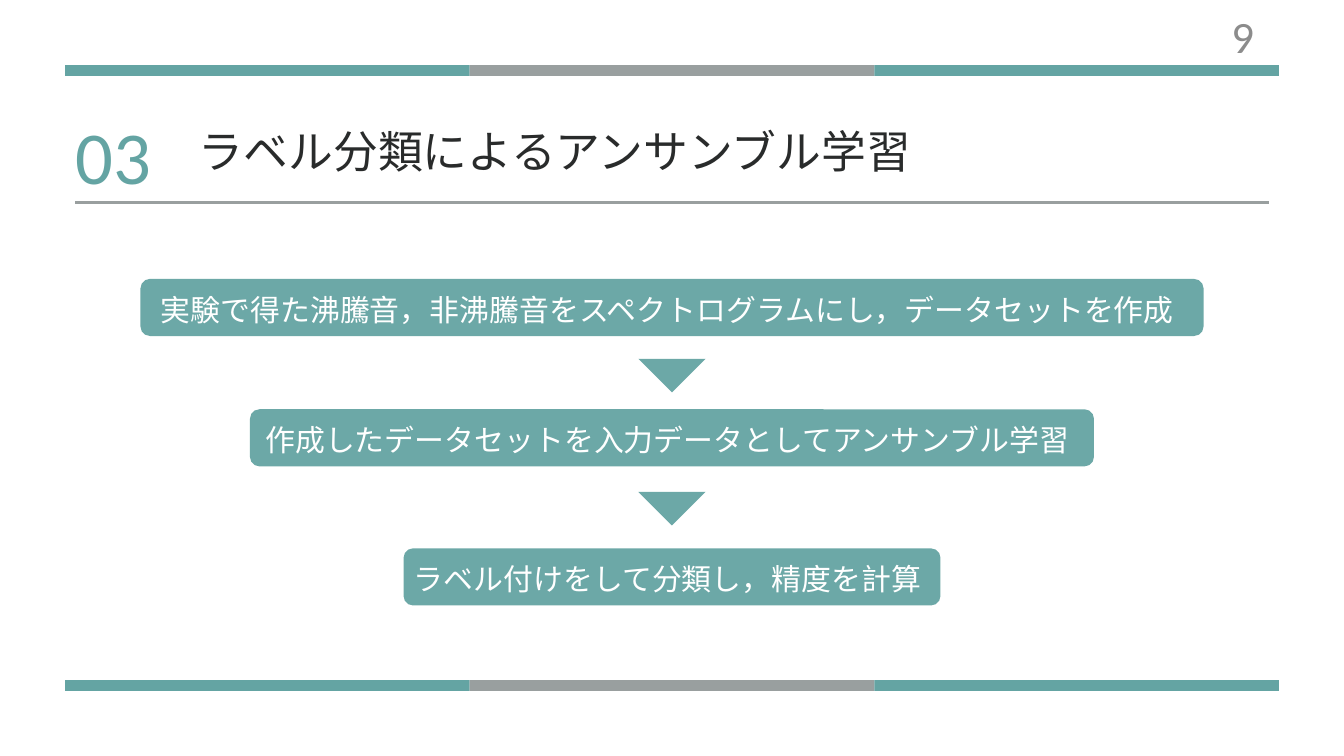
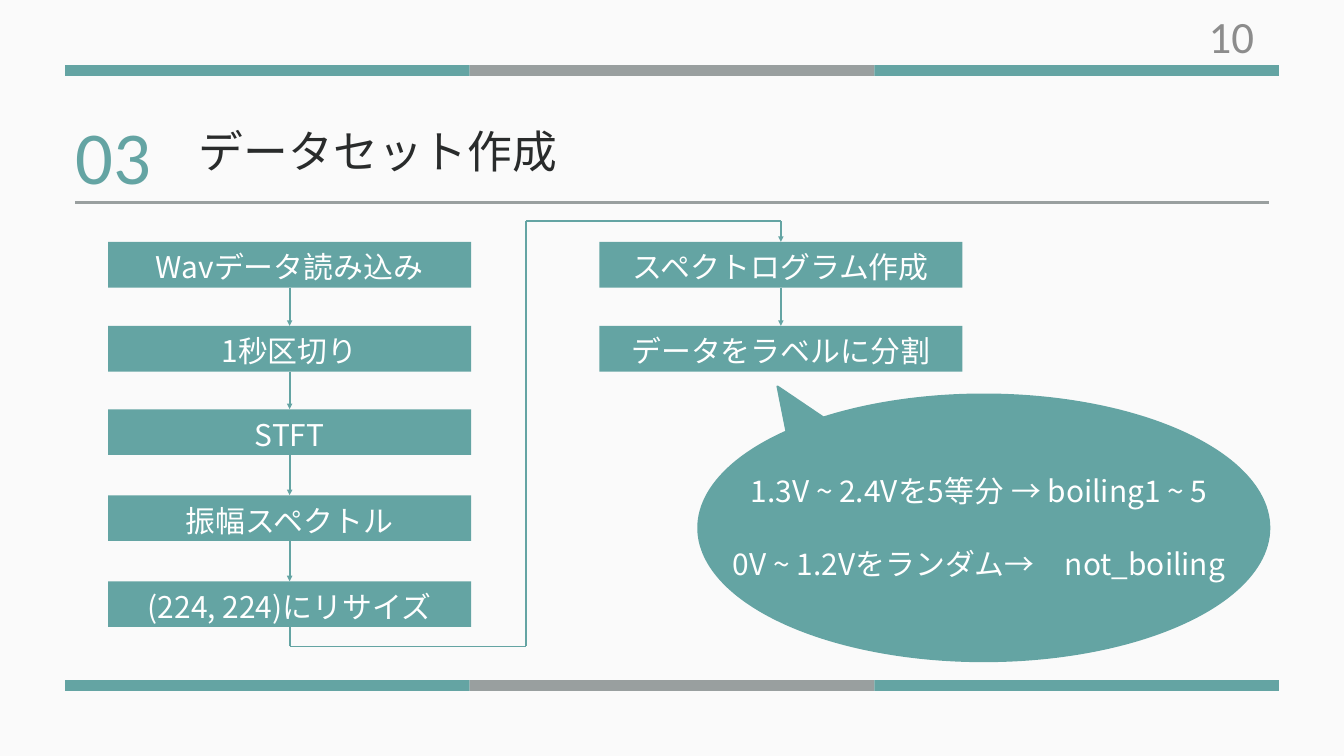
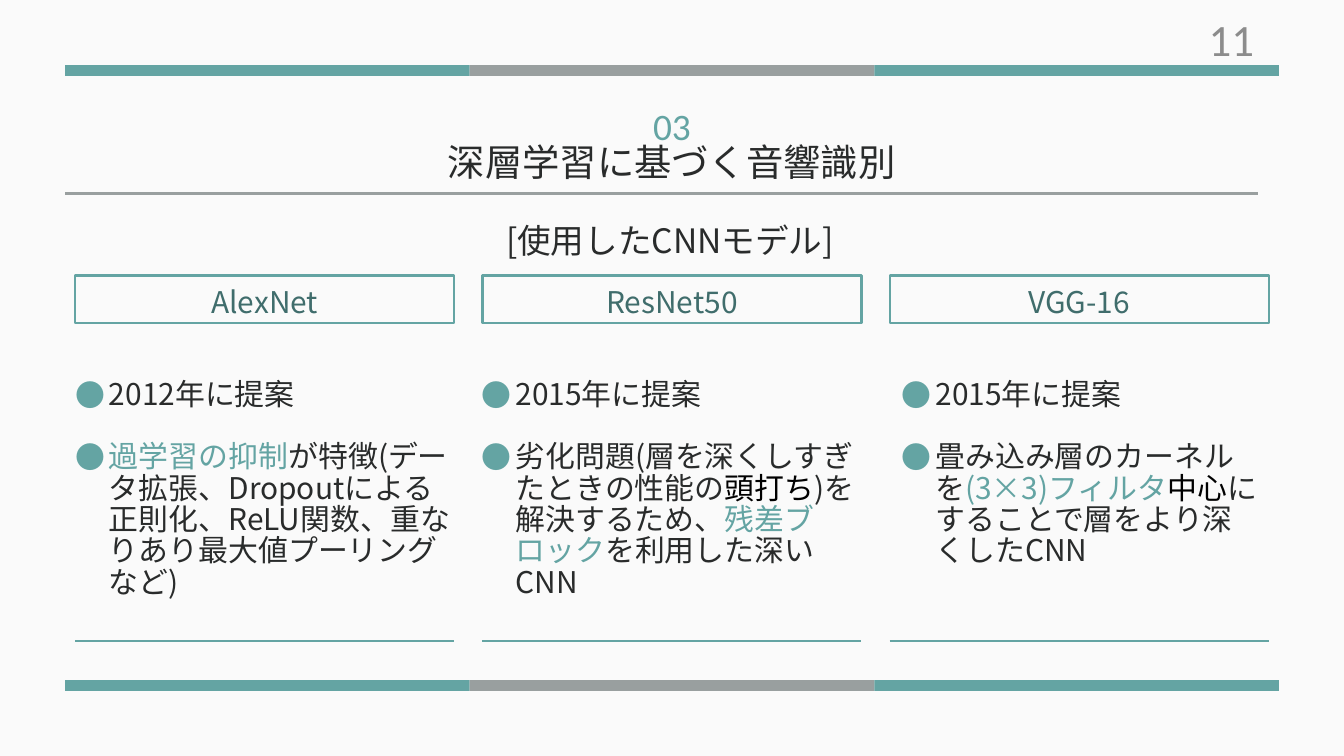
from itertools import pairwise

from lxml import etree
from pptx import Presentation
from pptx.dml.color import RGBColor
from pptx.enum.shapes import MSO_CONNECTOR, MSO_SHAPE
from pptx.enum.text import MSO_ANCHOR, MSO_AUTO_SIZE, PP_ALIGN
from pptx.oxml.ns import qn
from pptx.util import Inches, Pt

STRAIGHT = MSO_CONNECTOR.STRAIGHT
RECTANGLE = MSO_SHAPE.RECTANGLE
ELLIPSE = MSO_SHAPE.OVAL
TRIANGLE = MSO_SHAPE.ISOSCELES_TRIANGLE
STEP_BOX = MSO_SHAPE.FLOWCHART_ALTERNATE_PROCESS
DOWN_MARK = MSO_SHAPE.FLOWCHART_MERGE
TOP, MIDDLE = MSO_ANCHOR.TOP, MSO_ANCHOR.MIDDLE
LEFT, CENTER, RIGHT = PP_ALIGN.LEFT, PP_ALIGN.CENTER, PP_ALIGN.RIGHT
NO_AUTOFIT = MSO_AUTO_SIZE.NONE
TITLE_ONLY, COMPARISON = 5, 4
TOP_SIDE, BOTTOM_SIDE = 0, 2

COLORS = {
    "teal": "64A4A3",
    "soft teal": "6CA8A7",
    "dark teal": "406D6C",
    "gray": "999F9F",
    "number": "8C8C8C",
    "ink": "292B2B",
    "black": "000000",
    "white": "FFFFFF",
    "paper": "FAFAFA",
}
JAPANESE, LATIN = "Noto Sans CJK SC", "Calibri"

# Each text style: font, size, colour, alignment, line spacing in points
STYLES = {
    "title": (JAPANESE, 48, "ink", LEFT, 58.8),
    "centered title": (JAPANESE, 40, "ink", CENTER, 58.8),
    "section": (LATIN, 80, "teal", LEFT, 112),
    "small section": (LATIN, 40, "teal", CENTER, 112),
    "number": (LATIN, 48, "number", RIGHT, None),
    "subtitle": (JAPANESE, 36, "ink", CENTER, 44.8),
    "step": (JAPANESE, 32, "white", CENTER, 35.2),
    "box": (JAPANESE, 32, "white", CENTER, 39.2),
    "model": (JAPANESE, 32, "dark teal", CENTER, 39.2),
    "list": (JAPANESE, 32, "ink", LEFT, 33.6),
}


def color(name):
    return RGBColor.from_string(COLORS[name])


def inches(values):
    return [Inches(value) for value in values]


class Deck:
    """Holds the shared style and the slide being built."""

    def __init__(self):
        self.presentation = Presentation()
        self.presentation.slide_width = Inches(20)
        self.presentation.slide_height = Inches(11.25)
        self.slide = None

    def add_slide(self, layout, background, number, number_top=0.33):
        layouts = self.presentation.slide_layouts
        self.slide = self.presentation.slides.add_slide(layouts[layout])
        fill = self.slide.background.fill
        fill.solid()
        fill.fore_color.rgb = color(background)
        for top in (0.97, 10.12):
            for column, name in enumerate(("teal", "gray", "teal")):
                self.shape(RECTANGLE, (0.97 + 6.02 * column, top, 6.02, 0.16), name)
        self.text_box((16.43, number_top, 2.33, 0.4), [str(number)], "number",
                      (0.1, 0.05, 0.1, 0.05), MIDDLE)

    def heading(self, title, width):
        self.placeholder(0, (2.96, 1.83, width, 0.8), [title], "title")
        self.text_box((1.12, 1.41, 2.91, 1.53), ["03"], "section")
        self.line((1.12, 3.01), (18.88, 3.01), "gray", 3)

    def set_text(self, shape, paragraphs, style, insets=(0, 0, 0, 0), anchor=TOP,
                 gap=0, bullet=None):
        """A paragraph is a string or a list of (text, colour) runs."""
        frame = shape.text_frame
        left, top, right, bottom = inches(insets)
        frame_format = {
            "word_wrap": True, "auto_size": NO_AUTOFIT, "vertical_anchor": anchor,
            "margin_left": left, "margin_top": top,
            "margin_right": right, "margin_bottom": bottom,
        }
        for name, value in frame_format.items():
            setattr(frame, name, value)
        font_name, size, base_color, alignment, spacing = STYLES[style]
        for index, content in enumerate(paragraphs):
            paragraph = frame.add_paragraph() if index else frame.paragraphs[0]
            paragraph_format = {
                "alignment": alignment,
                "line_spacing": Pt(spacing) if spacing else None,
                "space_before": Pt(gap if index else 0),
            }
            for name, value in paragraph_format.items():
                setattr(paragraph, name, value)
            if bullet:
                self.bullet(paragraph, bullet)
            runs = [(content, base_color)] if isinstance(content, str) else content
            for text, run_color in runs:
                run = paragraph.add_run()
                run.text = text
                font_format = {"name": font_name, "size": Pt(size), "bold": False}
                for name, value in font_format.items():
                    setattr(run.font, name, value)
                run.font.color.rgb = color(run_color)
                properties = run._r.get_or_add_rPr()
                etree.SubElement(properties, qn("a:ea"), typeface=font_name)

    def bullet(self, paragraph, bullet_color):
        properties = paragraph._p.get_or_add_pPr()
        properties.set("marL", str(Inches(0.5)))
        properties.set("indent", str(Inches(-0.5)))
        fill = etree.SubElement(properties, qn("a:buClr"))
        etree.SubElement(fill, qn("a:srgbClr"), val=COLORS[bullet_color])
        etree.SubElement(properties, qn("a:buFont"), typeface=JAPANESE)
        etree.SubElement(properties, qn("a:buChar"), char="●")

    def placeholder(self, index, box, paragraphs, style, **options):
        shape = next(item for item in self.slide.placeholders
                     if item.placeholder_format.idx == index)
        shape.left, shape.top, shape.width, shape.height = inches(box)
        self.set_text(shape, paragraphs, style, **options)

    def text_box(self, box, paragraphs, style, insets=(0, 0, 0, 0), anchor=TOP, gap=0):
        shape = self.slide.shapes.add_textbox(*inches(box))
        self.set_text(shape, paragraphs, style, insets, anchor, gap)

    def shape(self, kind, box, fill=None, outline=None, width=2):
        shape = self.slide.shapes.add_shape(kind, *inches(box))
        shape.shadow.inherit = False
        if fill:
            shape.fill.solid()
            shape.fill.fore_color.rgb = color(fill)
        else:
            shape.fill.background()
        if outline:
            shape.line.color.rgb = color(outline)
            shape.line.width = Pt(width)
        else:
            shape.line.fill.background()
        return shape

    def label_box(self, box, text, style="box", fill="teal", outline=None):
        shape = self.shape(RECTANGLE, box, fill, outline, 2.25)
        self.set_text(shape, [text], style, (0, 0.05, 0, 0), MIDDLE)
        return shape

    def line(self, start, end, line_color="teal", width=2, arrow=False,
             source=None, target=None):
        connector = self.slide.shapes.add_connector(STRAIGHT, *inches(start + end))
        connector.line.color.rgb = color(line_color)
        connector.line.width = Pt(width)
        properties = connector.element.spPr
        if arrow:
            etree.SubElement(properties.find(qn("a:ln")), qn("a:tailEnd"), type="triangle")
        etree.SubElement(properties, qn("a:effectLst"))
        if source:
            connector.begin_connect(source, BOTTOM_SIDE)
        if target:
            connector.end_connect(target, TOP_SIDE)

    def flow_column(self, left, steps):
        """Stack boxes from (top, text) pairs and join them with arrows."""
        boxes = [self.label_box((left, top, 5.4, 0.68), text) for top, text in steps]
        middle = left + 2.7
        for (upper_top, _), (lower_top, _), (upper, lower) in zip(
                steps, steps[1:], pairwise(boxes)):
            self.line((middle, upper_top + 0.68), (middle, lower_top),
                      arrow=True, source=upper, target=lower)
        return boxes


def ensemble_slide(deck):
    deck.add_slide(TITLE_ONLY, "white", 9)
    deck.heading("ラベル分類によるアンサンブル学習", 11.45)
    # Centred steps
    for top, width, text in (
        (4.15, 15.82, "実験で得た沸騰音，非沸騰音をスペクトログラムにし，データセットを作成"),
        (6.09, 12.56, "作成したデータセットを入力データとしてアンサンブル学習"),
        (8.16, 7.99, "ラベル付けをして分類し，精度を計算"),
    ):
        step = deck.shape(STEP_BOX, (10 - width / 2, top, width, 0.85), "soft teal")
        deck.set_text(step, [text], "step", (0, 0.1, 0.13, 0), MIDDLE)
    for top in (5.34, 7.32):
        deck.shape(DOWN_MARK, (9.5, top, 1, 0.5), "soft teal")


def dataset_slide(deck):
    deck.add_slide(TITLE_ONLY, "paper", 10)
    deck.heading("データセット作成", 8.54)
    # Two columns of processing steps
    first = deck.flow_column(1.61, [
        (3.6, "Wavデータ読み込み"), (4.85, "1秒区切り"), (6.09, "STFT"),
        (7.37, "振幅スペクトル"), (8.65, "(224, 224)にリサイズ"),
    ])
    second = deck.flow_column(8.92, [
        (3.6, "スペクトログラム作成"), (4.85, "データをラベルに分割"),
    ])
    # Route from the first column to the second
    route = [(4.31, 9.33), (4.31, 9.62), (7.83, 9.62), (7.83, 3.29),
             (11.62, 3.29), (11.62, 3.6)]
    for start, end in pairwise(route):
        is_last = end == route[-1]
        deck.line(start, end, arrow=is_last,
                  source=first[-1] if start == route[0] else None,
                  target=second[0] if is_last else None)
    # Speech bubble
    deck.shape(ELLIPSE, (10.39, 5.87, 8.5, 3.97), "teal", "teal")
    pointer = deck.shape(TRIANGLE, (11.41, 5.65, 0.97, 1.18), "teal", "teal")
    pointer.rotation = 326.4
    deck.text_box((10.63, 6.97, 7.88, 1.72),
                  ["1.3V ~ 2.4Vを5等分 → boiling1 ~ 5", "0V ~ 1.2Vをランダム→　not_boiling"],
                  "box", (0.1, 0.05, 0.1, 0.05), gap=39.2)


def models_slide(deck):
    deck.add_slide(COMPARISON, "paper", 11, 0.38)
    deck.placeholder(0, (5.07, 1.92, 9.85, 0.78), ["深層学習に基づく音響識別"], "centered title")
    deck.text_box((7.57, 0.64, 4.86, 1.35), ["03"], "small section")
    deck.line((0.97, 2.88), (18.72, 2.88), "gray", 3)
    deck.placeholder(1, (7.15, 3.25, 5.64, 0.6), ["[使用したCNNモデル]"], "subtitle")
    # One column per model: name, list position and width, year, feature
    models = [
        ("AlexNet", 1.12, 5.64, "2012年に提案", [
            ("過学習の抑制", "teal"),
            ("が特徴(データ拡張、Dropoutによる正則化、ReLU関数、"
             "重なりあり最大値プーリングなど)", "ink"),
        ]),
        ("ResNet50", 7.17, 5.64, "2015年に提案", [
            ("劣化問題(層を深くしすぎたときの性能の", "ink"), ("頭打ち", "black"),
            (")を解決するため、", "ink"), ("残差ブロック", "teal"),
            ("を利用した深いCNN", "ink"),
        ]),
        ("VGG-16", 13.42, 5.3, "2015年に提案", [
            ("畳み込み層のカーネルを", "ink"), ("(3×3)フィルタ", "teal"),
            ("中心", "black"), ("にすることで層をより深くしたCNN", "ink"),
        ]),
    ]
    for column, (name, list_left, list_width, year, feature) in enumerate(models):
        left = 1.12 + 6.06 * column
        deck.label_box((left, 4.1, 5.64, 0.71), name, "model", None, "teal")
        deck.placeholder(column + 2, (list_left, 5.65, list_width, 3.34),
                         [year, feature], "list", gap=33.6, bullet="teal")
        deck.line((left, 9.54), (left + 5.64, 9.54), width=1.5)


def main():
    deck = Deck()
    ensemble_slide(deck)
    dataset_slide(deck)
    models_slide(deck)
    deck.presentation.save("out.pptx")


if __name__ == "__main__":
    main()
